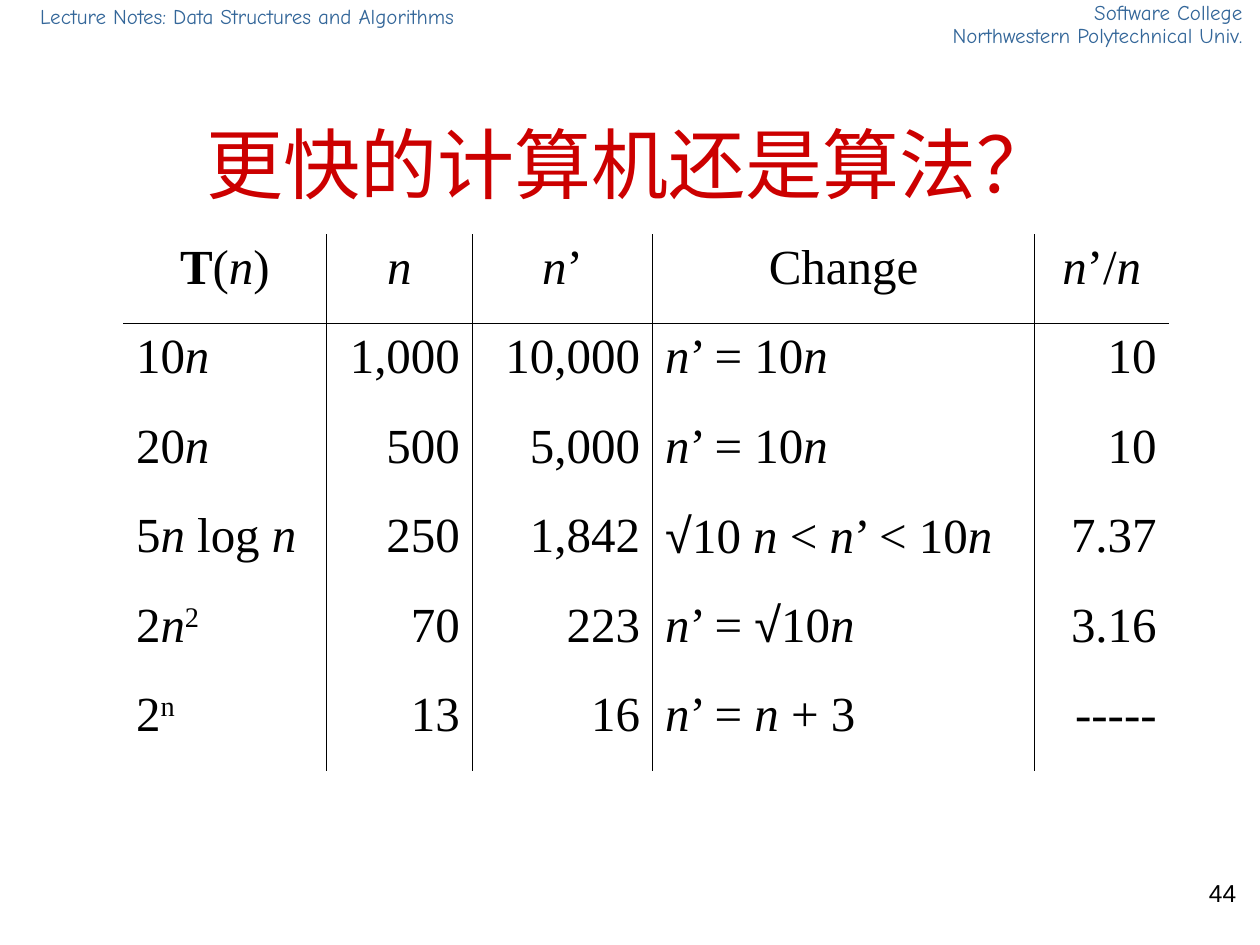
from dataclasses import dataclass

import pptx
import pptx.dml.color
import pptx.enum.text
import pptx.oxml
import pptx.oxml.ns
import pptx.util
from pptx.util import Inches

COLORS = {"title": "CC0000", "header": "336699", "ink": "000000"}
ALIGN = pptx.enum.text.PP_ALIGN
BORDER_PT = 0.45


@dataclass(frozen=True)
class Run:
    text: str
    font: str = "Times New Roman"
    italic: bool = False
    bold: bool = False
    raised: bool = False


@dataclass(frozen=True)
class Line:
    text: str
    spacing: float = 1.0
    before: float = 0


@dataclass(frozen=True)
class Label:
    box: tuple[float, float, float, float]
    lines: tuple[Line, ...]
    align: ALIGN
    font: str
    size: float
    color: str
    wrap: bool = True


N = Run("n", italic=True)
ROOT = Run("√", font="Arial")

LABELS = [
    Label((6.73, 0, 3.23, 0.41),
          (Line("Software College", 0.7),
           Line("Northwestern Polytechnical Univ.", 0.3, 7.5)),
          ALIGN.RIGHT, "Comic Neue", 12, "header"),
    Label((0.22, 0.05, 3.51, 0.22),
          (Line("Lecture Notes: Data Structures and Algorithms", 0.6),),
          ALIGN.LEFT, "Comic Neue", 12, "header", wrap=False),
    Label((7.83, 6.92, 2.08, 0.5), (Line("44"),),
          ALIGN.RIGHT, "Arial", 14, "ink"),
]

COLUMN_WIDTHS = [1.61, 1.16, 1.43, 3.03, 1.07]
COLUMN_ALIGNS = [ALIGN.LEFT, ALIGN.RIGHT, ALIGN.RIGHT, ALIGN.LEFT, ALIGN.RIGHT]
ROW_HEIGHT = 0.71
ROWS = [
    [[Run("T", bold=True), "(", N, ")"], [N], [N, "’"], ["Change"],
     [N, "’/", N]],
    [["10", N], ["1,000"], ["10,000"], [N, "’ = 10", N], ["10"]],
    [["20", N], ["500"], ["5,000"], [N, "’ = 10", N], ["10"]],
    [["5", N, " log ", N], ["250"], ["1,842"],
     [ROOT, "10 ", N, " < ", N, "’ < 10", N], ["7.37"]],
    [["2", N, Run("2", raised=True)], ["70"], ["223"],
     [N, "’ = ", ROOT, "10", N], ["3.16"]],
    [["2", Run("n", raised=True)], ["13"], ["16"],
     [N, "’ = ", N, " + 3"], ["-----"]],
]


def add_run(p, run: Run, size: float, color: str) -> None:
    r = p.add_run()
    r.text = run.text
    r.font.name = run.font
    r.font.size = pptx.util.Pt(size)
    r.font.italic = run.italic
    r.font.bold = run.bold
    r.font.color.rgb = pptx.dml.color.RGBColor.from_string(COLORS[color])
    if run.raised:
        r.font._element.set("baseline", "30000")


def add_label(s, label: Label) -> None:
    sp = s.shapes.add_textbox(*map(Inches, label.box))
    tf = sp.text_frame
    tf.word_wrap = label.wrap
    for i, line in enumerate(label.lines):
        p = tf.add_paragraph() if i else tf.paragraphs[0]
        p.alignment = label.align
        p.line_spacing = line.spacing
        p.space_before = pptx.util.Pt(line.before)
        add_run(p, Run(line.text, label.font), label.size, label.color)


def set_title(s, text: str) -> None:
    sp = s.shapes.title
    sp.left, sp.top, sp.width, sp.height = map(Inches, (0.75, 0.67, 8.5, 1.25))
    tf = sp.text_frame
    tf.auto_size = pptx.enum.text.MSO_AUTO_SIZE.NONE
    tf.vertical_anchor = pptx.enum.text.MSO_ANCHOR.MIDDLE
    p = tf.paragraphs[0]
    p.alignment = ALIGN.CENTER
    add_run(p, Run(text, "Arial"), 44, "title")


def set_borders(cell, visible: dict[str, bool]) -> None:
    tc_pr = cell._tc.get_or_add_tcPr()
    for side, shown in visible.items():
        paint = (f'<a:solidFill><a:srgbClr val="{COLORS["ink"]}"/></a:solidFill>'
                 if shown else "<a:noFill/>")
        tc_pr.append(pptx.oxml.parse_xml(
            f'<a:ln{side} {pptx.oxml.ns.nsdecls("a")} '
            f'w="{pptx.util.Pt(BORDER_PT)}">{paint}</a:ln{side}>'))


def add_growth_table(s) -> None:
    """Draw rules only between columns and under the heading row."""
    last = len(COLUMN_WIDTHS) - 1
    table = s.shapes.add_table(
        len(ROWS), len(COLUMN_WIDTHS), Inches(0.98), Inches(1.86),
        Inches(sum(COLUMN_WIDTHS)), Inches(ROW_HEIGHT * len(ROWS))).table
    table.first_row = table.horz_banding = False
    for column, width in zip(table.columns, COLUMN_WIDTHS):
        column.width = Inches(width)
    for i, row in enumerate(ROWS):
        table.rows[i].height = Inches(ROW_HEIGHT)
        for j, runs in enumerate(row):
            cell = table.cell(i, j)
            set_borders(cell, {"L": j > 0, "R": j < last,
                               "T": i == 1, "B": i == 0})
            cell.fill.background()
            p = cell.text_frame.paragraphs[0]
            p.alignment = COLUMN_ALIGNS[j] if i else ALIGN.CENTER
            for run in runs:
                add_run(p, Run(run) if isinstance(run, str) else run, 28, "ink")


def main() -> None:
    prs = pptx.Presentation()
    prs.slide_width, prs.slide_height = Inches(10), Inches(7.5)
    s = prs.slides.add_slide(prs.slide_layouts.get_by_name("Title Only"))
    set_title(s, "更快的计算机还是算法？")
    add_growth_table(s)
    for label in LABELS:
        add_label(s, label)
    prs.save("out.pptx")


if __name__ == "__main__":
    main()
